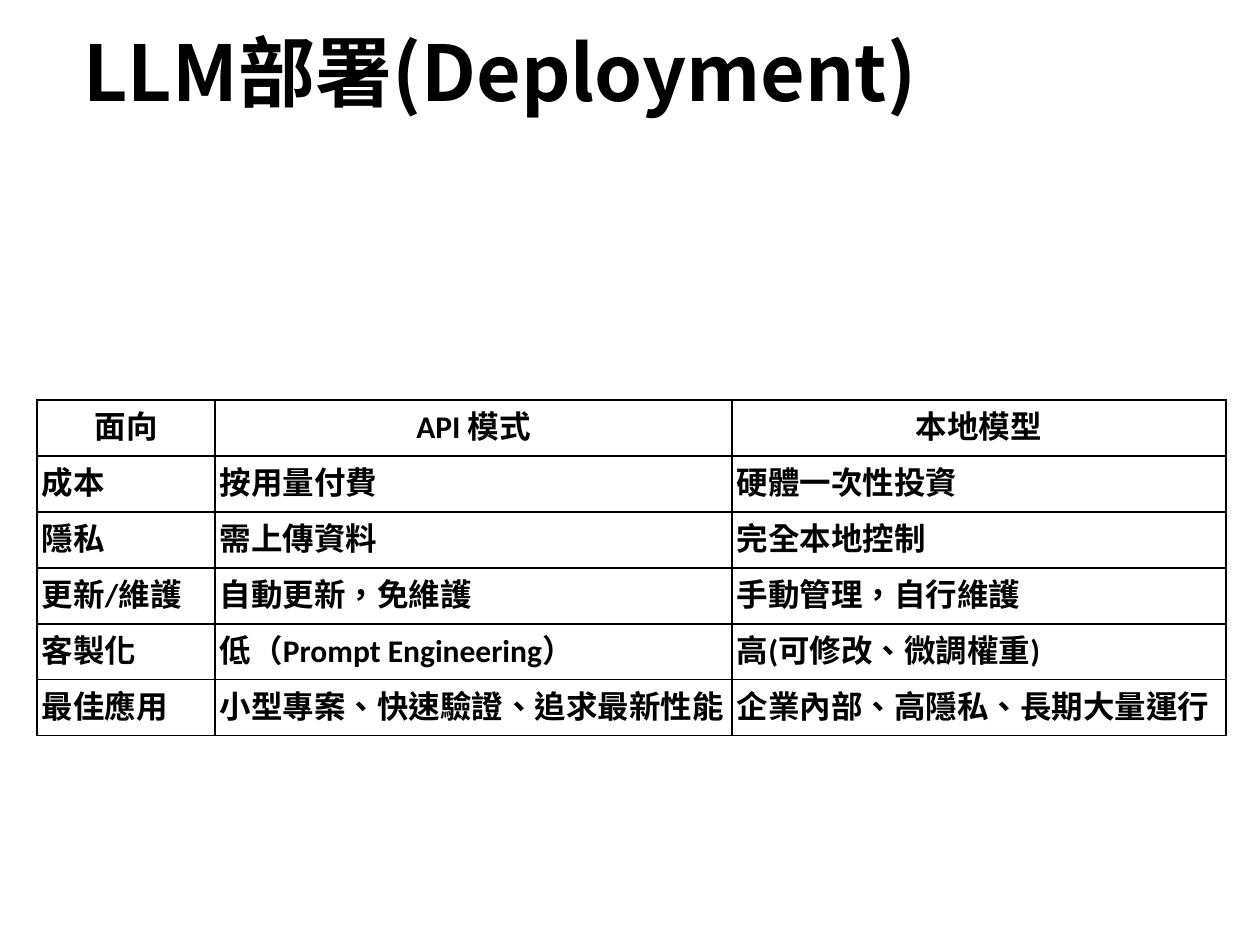
from lxml.etree import SubElement
from pptx import Presentation
from pptx.dml.color import RGBColor
from pptx.enum.lang import MSO_LANGUAGE_ID as Lang
from pptx.enum.text import MSO_ANCHOR as Anchor, PP_ALIGN as Align
from pptx.oxml.ns import qn
from pptx.util import Emu, Pt

BLACK = RGBColor(0, 0, 0)
WHITE = RGBColor(255, 255, 255)
SCALE = 914400 / 126
PAD = 5
TITLE = {"name": "Noto Sans CJK SC", "size": Pt(44), "bold": True}
BODY = {"name": "Calibri", "size": Pt(18), "bold": True,
        "language_id": Lang.TRADITIONAL_CHINESE}
CELL = {"vertical_anchor": Anchor.MIDDLE}
SIDES = ("left", "top", "right", "bottom")
WIDTHS = (178, 517, 494)
ROWS = (
    ("面向", "API 模式", "本地模型"),
    ("成本", "按用量付費", "硬體一次性投資"),
    ("隱私", "需上傳資料", "完全本地控制"),
    ("更新/維護", "自動更新，免維護", "手動管理，自行維護"),
    ("客製化", "低（Prompt Engineering）", "高(可修改、微調權重)"),
    ("最佳應用", "小型專案、快速驗證、追求最新性能", "企業內部、高隱私、長期大量運行"),
)


def px(num):
    """Turn pixels into EMU."""
    return Emu(round(num * SCALE))


def style(item, form):
    """Set each format value on an item."""
    for key, value in form.items():
        setattr(item, key, value)


def write(para, text, form):
    """Add one black run in Latin and East Asian type."""
    run = para.add_run()
    run.text = text
    style(run.font, form)
    run.font.color.rgb = BLACK
    SubElement(run.font._element, qn("a:ea"), typeface=form["name"])


def border(cell):
    """Rule all four sides of a cell."""
    props = cell._tc.get_or_add_tcPr()
    for side in "LRTB":
        line = SubElement(props, qn(f"a:ln{side}"), w=str(Pt(1)))
        fill = SubElement(line, qn("a:solidFill"))
        SubElement(fill, qn("a:srgbClr"), val=str(BLACK))


def title(slide, box, text):
    """Place the slide title in its box."""
    frame = slide.shapes.add_textbox(*map(px, box)).text_frame
    style(frame, {"word_wrap": True, **CELL})
    para = frame.paragraphs[0]
    para.line_spacing = 0.9
    write(para, text, TITLE)


def table(slide, box, rows):
    """Place the comparison table in its box."""
    shape = slide.shapes.add_table(len(rows), len(WIDTHS), *map(px, box))
    grid = shape.table
    for col, width in zip(grid.columns, WIDTHS):
        col.width = px(width)
    for line, texts in zip(grid.rows, rows):
        line.height = px(box[3] / len(rows))
        for cell, text in zip(line.cells, texts):
            border(cell)
            cell.fill.solid()
            cell.fill.fore_color.rgb = WHITE
            style(cell, CELL | {f"margin_{side}": px(PAD) for side in SIDES})
            para = cell.text_frame.paragraphs[0]
            para.alignment = Align.CENTER if texts is rows[0] else Align.LEFT
            write(para, text, BODY)


def main():
    """Build and save the slide."""
    deck = Presentation()
    style(deck, {"slide_width": px(1260), "slide_height": px(945)})
    slide = deck.slides.add_slide(deck.slide_layouts[6])
    table(slide, (37, 400, sum(WIDTHS), 336), ROWS)
    title(slide, (71, 23, 1086, 107), "LLM部署(Deployment)")
    deck.save("out.pptx")


if __name__ == "__main__":
    main()
